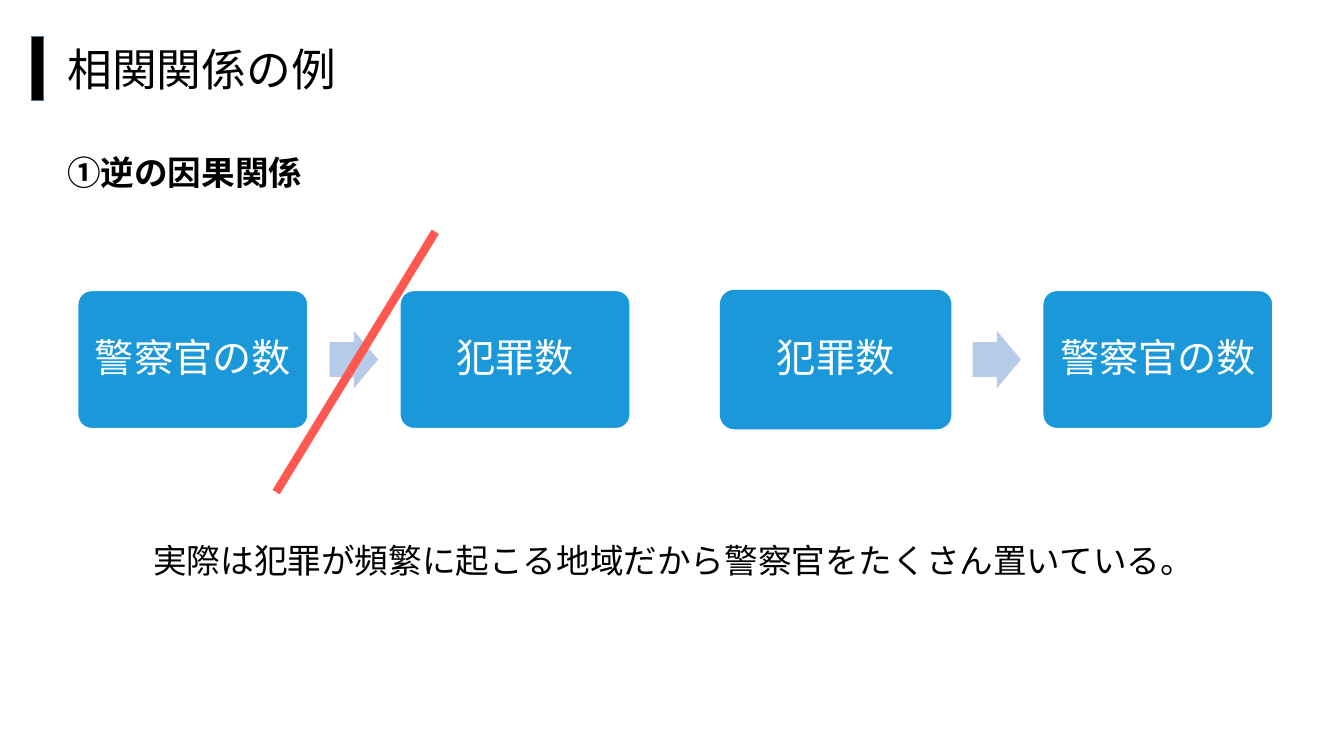
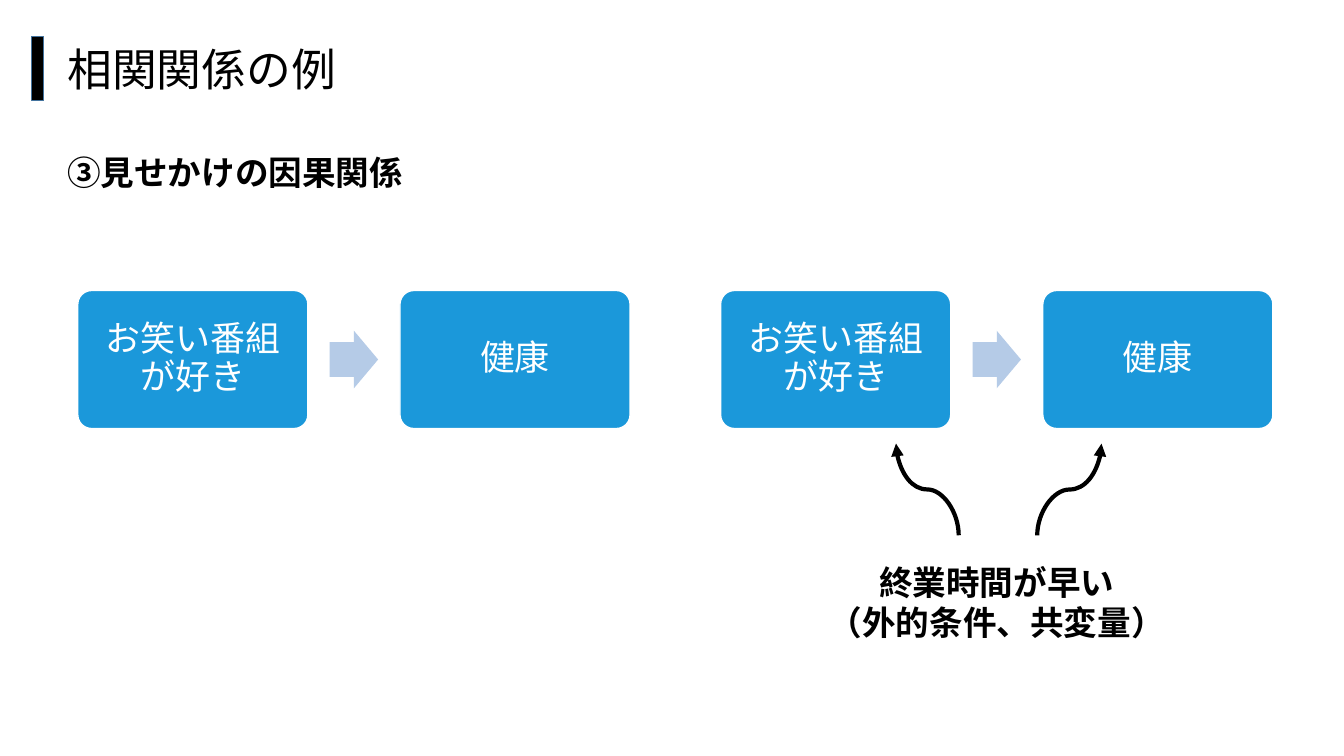
import pptx
import pptx.dml.color
import pptx.enum.shapes
import pptx.enum.text
import pptx.oxml.ns
import pptx.util
from lxml import etree

Cm = pptx.util.Cm
Pt = pptx.util.Pt
RGBColor = pptx.dml.color.RGBColor
SHAPE = pptx.enum.shapes.MSO_SHAPE
CONNECTOR = pptx.enum.shapes.MSO_CONNECTOR
ALIGN = pptx.enum.text.PP_ALIGN
ANCHOR = pptx.enum.text.MSO_ANCHOR
qn = pptx.oxml.ns.qn

BLACK = RGBColor(0x00, 0x00, 0x00)
WHITE = RGBColor(0xFF, 0xFF, 0xFF)
BLUE = RGBColor(0x1B, 0x98, 0xDA)
PALE_BLUE = RGBColor(0xB5, 0xCB, 0xE7)
BAR_EDGE = RGBColor(0x43, 0x73, 0x9E)
RED = RGBColor(0xFF, 0x58, 0x50)
FONT = "Noto Sans CJK JP"

TITLE_SLIDE, TITLE_ONLY = 0, 5
BOX_WIDTH, BOX_HEIGHT, BOX_TOP = Cm(5.8), Cm(3.48), Cm(7.32)
BOX_STEP = Cm(8.12)
ARROW_WIDTH, ARROW_HEIGHT = Cm(1.22), Cm(1.45)
LEFT_PAIR, RIGHT_PAIR = Cm(1.96), Cm(18.16)


def write_text(shape, text, size=24, color=BLACK, bold=False,
               align=ALIGN.LEFT, anchor=ANCHOR.MIDDLE, spacing=1.0,
               margin=None):
    """Fill a shape with text, one paragraph per line."""
    frame = shape.text_frame
    frame.word_wrap = True
    frame.auto_size = pptx.enum.text.MSO_AUTO_SIZE.NONE
    frame.vertical_anchor = anchor
    if margin is not None:
        frame.margin_left = frame.margin_right = margin
        frame.margin_top = frame.margin_bottom = margin
    frame.text = text
    for para in frame.paragraphs:
        para.alignment = align
        para.line_spacing = spacing
        para.space_before = Pt(0)
        for span in para.runs:
            span.font.size = Pt(size)
            span.font.bold = bold
            span.font.color.rgb = color
            span.font.name = FONT
            east_asian = etree.SubElement(span._r.get_or_add_rPr(), qn("a:ea"))
            east_asian.set("typeface", FONT)


def place(shape, left, top, width, height):
    shape.left, shape.top = left, top
    shape.width, shape.height = width, height


def add_block(slide, kind, left, top, width, height, fill, outline=None):
    block = slide.shapes.add_shape(kind, left, top, width, height)
    block.shadow.inherit = False
    block.fill.solid()
    block.fill.fore_color.rgb = fill
    if outline is None:
        block.line.fill.background()
    else:
        block.line.color.rgb = outline
        block.line.width = Pt(1)
    return block


def add_label(slide, text, left, top, width, height, **style):
    box = slide.shapes.add_textbox(left, top, width, height)
    write_text(box, text, **style)


def add_line(slide, kind, start, end, color, width):
    line = slide.shapes.add_connector(kind, *start, *end)
    line.line.color.rgb = color
    line.line.width = Pt(width)
    etree.SubElement(line._element.spPr, qn("a:effectLst"))
    return line


def add_rising_curve(slide, start, end):
    """Draw an S-shaped arrow that leaves and arrives vertically."""
    middle_x = (start[0] + end[0]) // 2
    middle_y = (start[1] + end[1]) // 2
    half_rise = (start[1] - end[1]) // 2
    half_shift = (end[0] - start[0]) // 2
    # Lay the curve on its side, then turn it a quarter to the left.
    curve = add_line(slide, CONNECTOR.CURVE,
                     (middle_x - half_rise, middle_y - half_shift),
                     (middle_x + half_rise, middle_y + half_shift), BLACK, 3)
    properties = curve._element.spPr
    properties.find(qn("a:xfrm")).set("rot", str(270 * 60000))
    etree.SubElement(properties.find(qn("a:ln")), qn("a:tailEnd"), type="triangle")


def add_cause_pair(slide, left, cause, effect, size, cause_outline=WHITE):
    """Draw two boxes with a block arrow midway between them."""
    boxes = ((left, cause, cause_outline), (left + BOX_STEP, effect, WHITE))
    for box_left, text, outline in boxes:
        box = add_block(slide, SHAPE.ROUNDED_RECTANGLE, box_left, BOX_TOP,
                        BOX_WIDTH, BOX_HEIGHT, BLUE, outline)
        box.adjustments[0] = 0.1
        write_text(box, text, size=size, color=WHITE, align=ALIGN.CENTER,
                   spacing=0.9, margin=Cm(0.25))
    arrow = add_block(slide, SHAPE.RIGHT_ARROW,
                      left + (BOX_STEP + BOX_WIDTH - ARROW_WIDTH) // 2,
                      BOX_TOP + (BOX_HEIGHT - ARROW_HEIGHT) // 2,
                      ARROW_WIDTH, ARROW_HEIGHT, PALE_BLUE)
    arrow.adjustments[0] = 0.6
    arrow.adjustments[1] = 0.5


def add_example_slide(deck, layout, heading):
    slide = deck.slides.add_slide(deck.slide_layouts[layout])
    add_block(slide, SHAPE.RECTANGLE, Cm(0.8), Cm(0.92), Cm(0.3), Cm(1.62),
              BLACK, BAR_EDGE)
    title = slide.shapes.title
    place(title, Cm(1.44), Cm(0.92), Cm(16.33), Cm(1.62))
    write_text(title, "相関関係の例", size=32)
    add_label(slide, heading, Cm(1.44), Cm(3.7), Cm(11.02), Cm(1.28), bold=True)
    return slide


def build_reverse_causation(deck):
    slide = add_example_slide(deck, TITLE_SLIDE, "①逆の因果関係")
    add_cause_pair(slide, LEFT_PAIR, "警察官の数", "犯罪数", 28)
    add_cause_pair(slide, RIGHT_PAIR, "犯罪数", "警察官の数", 28,
                   cause_outline=BLUE)
    add_line(slide, CONNECTOR.STRAIGHT, (Cm(6.96), Cm(12.4)),
             (Cm(10.97), Cm(5.84)), RED, 6)
    caption = slide.placeholders[1]
    place(caption, Cm(3.61), Cm(13.59), Cm(27.43), Cm(4.6))
    write_text(caption,
               "実際は犯罪が頻繁に起こる地域だから警察官をたくさん置いている。",
               anchor=ANCHOR.TOP, spacing=0.9)


def build_spurious_causation(deck):
    slide = add_example_slide(deck, TITLE_ONLY, "③見せかけの因果関係")
    for left in (LEFT_PAIR, RIGHT_PAIR):
        add_cause_pair(slide, left, "お笑い番組が好き", "健康", 25)
    add_label(slide, "終業時間が早い\n（外的条件、共変量）", Cm(19.61), Cm(14.02),
              Cm(11.02), Cm(2.31), bold=True, align=ALIGN.CENTER)
    for start_x, end_x in ((24.16, 22.58), (26.14, 27.76)):
        add_rising_curve(slide, (Cm(start_x), Cm(13.49)), (Cm(end_x), Cm(11.18)))


def main():
    deck = pptx.Presentation()
    deck.slide_width, deck.slide_height = Cm(33.87), Cm(19.05)
    build_reverse_causation(deck)
    build_spurious_causation(deck)
    deck.save("out.pptx")


if __name__ == "__main__":
    main()
